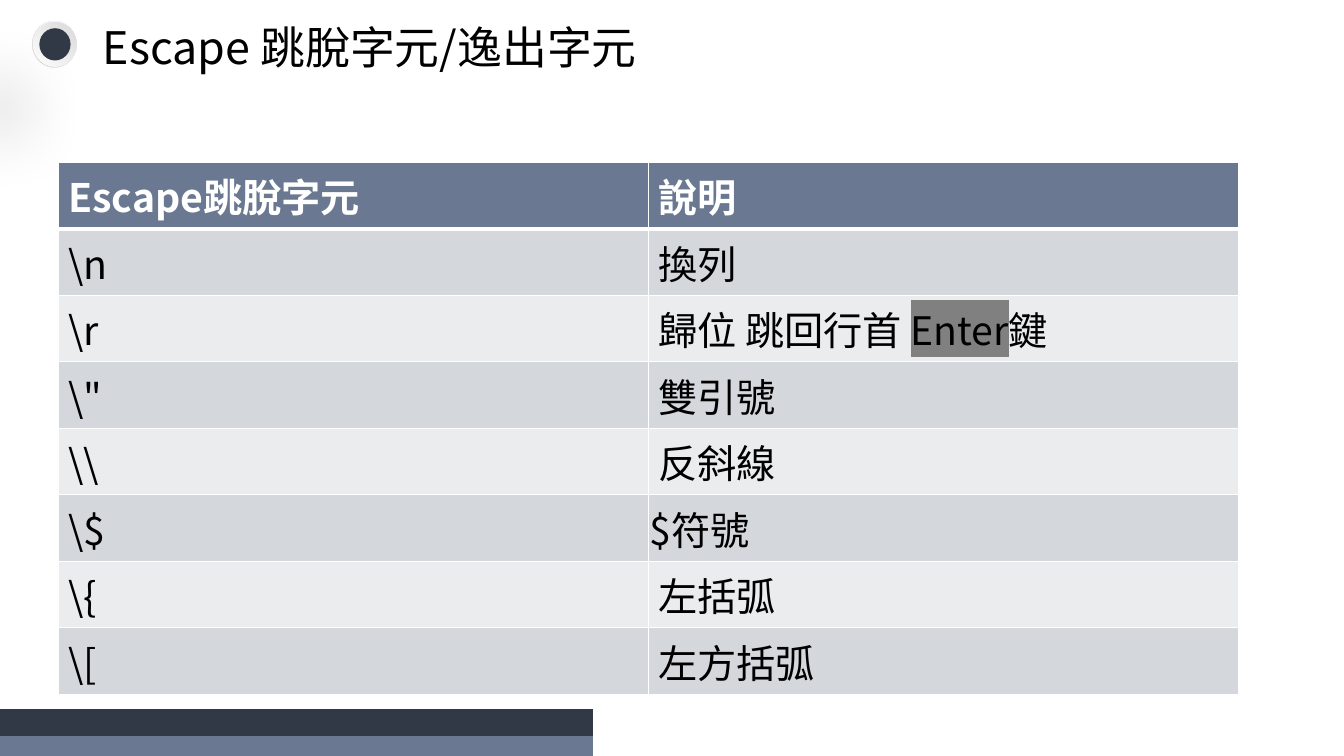
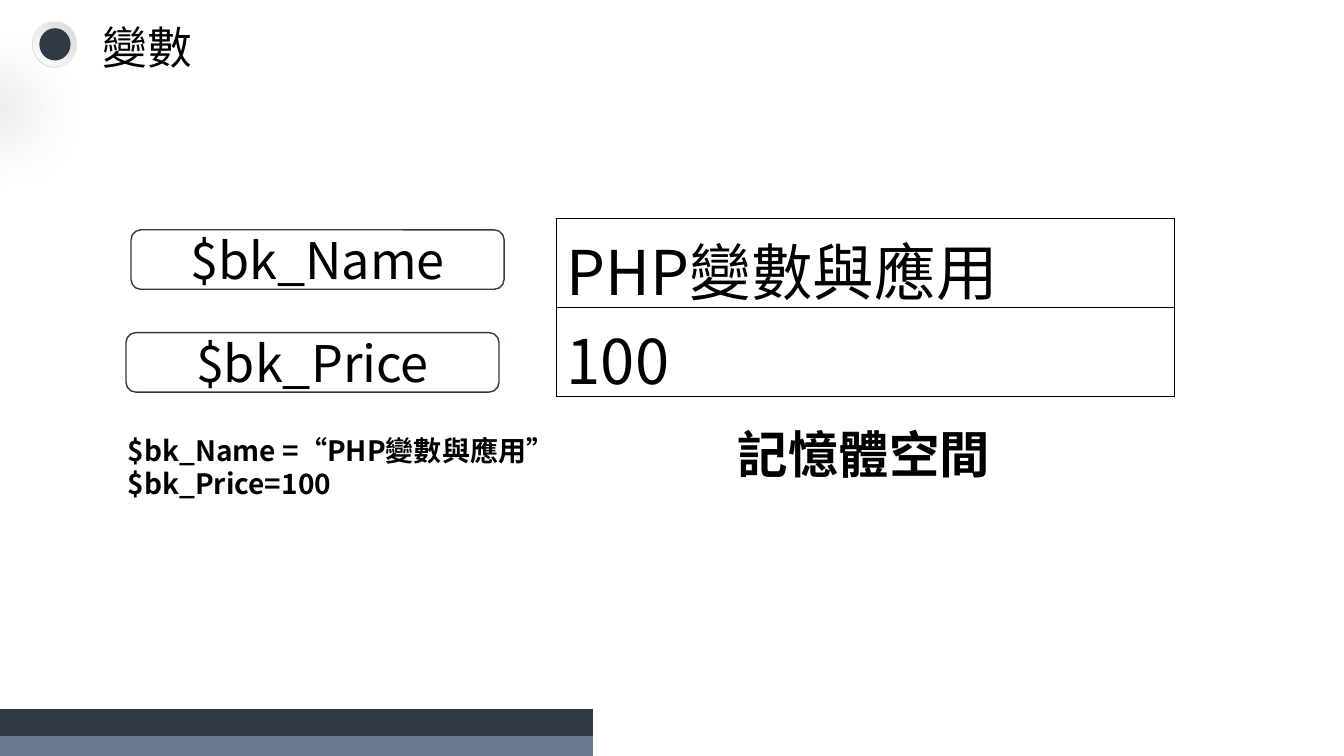
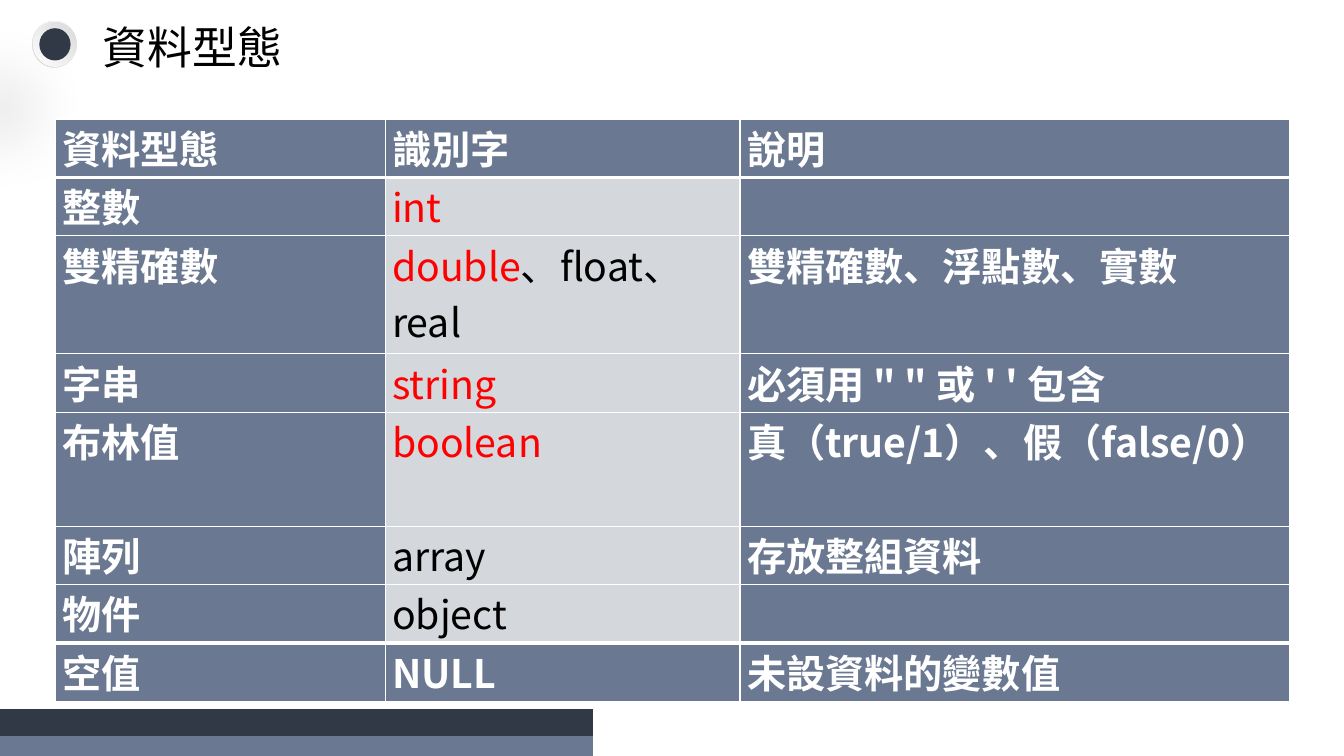
from pptx import Presentation
from pptx.dml.color import RGBColor
from pptx.enum.shapes import MSO_SHAPE
from pptx.enum.text import MSO_ANCHOR, PP_ALIGN
from pptx.oxml import parse_xml
from pptx.oxml.ns import nsdecls
from pptx.util import Inches, Pt

FONT = "Noto Sans CJK SC"
NAVY, SLATE = "313846", "6A7991"
BAND_DARK, BAND_LIGHT = "D4D7DC", "EBECEE"
BLACK, WHITE, RED, GREY = "000000", "FFFFFF", "FF0000", "808080"


def rgb(hex_color):
    return RGBColor.from_string(hex_color)


def xml(tag, attributes="", inner=""):
    return parse_xml(f"<a:{tag} {nsdecls('a')} {attributes}>{inner}</a:{tag}>")


# ---- Text and shapes ----

def style(paragraph, size, color=BLACK, bold=False):
    font = paragraph.font
    font.size, font.bold, font.name = Pt(size), bold, FONT
    font.color.rgb = rgb(color)
    font._element.append(xml("ea", f'typeface="{FONT}"'))


def add_text(slide, box, lines, size, bold=False, anchor=MSO_ANCHOR.TOP):
    frame = slide.shapes.add_textbox(*map(Inches, box)).text_frame
    frame.word_wrap = True
    frame.vertical_anchor = anchor
    frame.text = "\n".join(lines)
    for paragraph in frame.paragraphs:
        style(paragraph, size, bold=bold)
    return frame


def add_plain(slide, preset, box, fill, line=None):
    shape = slide.shapes.add_shape(preset, *map(Inches, box))
    shape.shadow.inherit = False
    shape.fill.solid()
    shape.fill.fore_color.rgb = rgb(fill)
    if line:
        shape.line.color.rgb = rgb(line)
        shape.line.width = Pt(1)
    else:
        shape.line.fill.background()
    return shape


def set_gradient(shape, stops, direction):
    stop_list = "".join(f'<a:gs pos="{position * 1000}"><a:srgbClr val="{color}"/></a:gs>'
                        for position, color in stops)
    properties = shape._element.spPr
    solid = properties.find("{*}solidFill")
    properties.replace(solid, xml("gradFill", 'rotWithShape="1"',
                                  f"<a:gsLst>{stop_list}</a:gsLst>{direction}"))


# ---- Parts on every slide ----

def add_bullet(slide, left, top):
    from_corner = '<a:path path="circle"><a:fillToRect l="100000" b="100000"/></a:path>'
    rim = add_plain(slide, MSO_SHAPE.OVAL, (left, top, 0.44, 0.46), WHITE)
    set_gradient(rim, [(0, WHITE), (100, "D9D9D9")], from_corner)
    effects = rim._element.spPr.find("{*}effectLst")
    effects.append(xml(
        "outerShdw", f'blurRad="{Pt(50)}" dist="{Pt(60)}" dir="{130 * 60000}" rotWithShape="0"',
        f'<a:srgbClr val="{BLACK}"><a:alpha val="25000"/></a:srgbClr>'))
    ring = add_plain(slide, MSO_SHAPE.OVAL, (left + 0.01, top + 0.01, 0.43, 0.44), WHITE)
    set_gradient(ring, [(0, "D9D9D9"), (100, "FEFEFE")], from_corner)
    add_plain(slide, MSO_SHAPE.OVAL, (left + 0.07, top + 0.07, 0.31, 0.32), NAVY)


def new_slide(deck, title):
    slide = deck.slides.add_slide(deck.slide_layouts[6])
    add_bullet(slide, 0.32, 0.21)
    footer = add_plain(slide, MSO_SHAPE.RECTANGLE, (0, 7.03, 5.88, 0.47), NAVY)
    set_gradient(footer, [(58, NAVY), (58, SLATE)], '<a:lin ang="5400000" scaled="0"/>')
    heading = add_text(slide, (0.92, 0.19, 11.7, 0.62), [title], 32, anchor=MSO_ANCHOR.MIDDLE)
    heading.paragraphs[0].line_spacing = 0.9
    return slide


# ---- Tables ----

def add_grid(slide, left, top, widths, heights, border, thick_rules=()):
    """Add a ruled table; thick_rules holds the rows that start below a 3 pt line."""
    table = slide.shapes.add_table(
        len(heights), len(widths), Inches(left), Inches(top),
        Inches(sum(widths)), Inches(sum(heights))).table
    table.first_row = table.horz_banding = False
    for column, width in zip(table.columns, widths):
        column.width = Inches(width)
    for index, (row, height) in enumerate(zip(table.rows, heights)):
        row.height = Inches(height)
        weights = {"lnL": 1, "lnR": 1,
                   "lnT": 3 if index in thick_rules else 1,
                   "lnB": 3 if index + 1 in thick_rules else 1}
        for cell in row.cells:
            properties = cell._tc.get_or_add_tcPr()
            for side, weight in weights.items():
                properties.append(xml(
                    side, f'w="{Pt(weight)}"',
                    f'<a:solidFill><a:srgbClr val="{border}"/></a:solidFill>'))
            cell.fill.background()
    return table


def fill_cell(cell, pieces, size, color=BLACK, bold=False, fill=None):
    """Write a string, or a list of (text, colour, highlight) runs."""
    if fill:
        cell.fill.solid()
        cell.fill.fore_color.rgb = rgb(fill)
    paragraph = cell.text_frame.paragraphs[0]
    style(paragraph, size, color, bold)
    if isinstance(pieces, str):
        pieces = [(pieces, None, None)]
    for text, run_color, highlight in pieces:
        run = paragraph.add_run()
        run.text = text
        if run_color:
            run.font.color.rgb = rgb(run_color)
        if highlight:
            run.font._element.append(
                xml("highlight", inner=f'<a:srgbClr val="{highlight}"/>'))


# ---- Slides ----

def escape_slide(deck):
    slide = new_slide(deck, "Escape 跳脫字元/逸出字元")
    rows = [
        ("Escape跳脫字元", "說明"),
        (r"\n", "換列"),
        (r"\r", [("歸位 跳回行首 ", None, None), ("Enter", None, GREY), ("鍵", None, None)]),
        (r"\"", "雙引號"),
        (r"\\", "反斜線"),
        (r"\$", "$符號"),
        (r"\{", "左括弧"),
        (r"\[", "左方括弧"),
    ]
    table = add_grid(slide, 0.58, 1.61, [5.85] * 2, [0.66] * len(rows), WHITE, thick_rules={1})
    for r, row in enumerate(rows):
        header = r == 0
        fill = SLATE if header else BAND_DARK if r % 2 else BAND_LIGHT
        for c, content in enumerate(row):
            fill_cell(table.cell(r, c), content, 28, WHITE if header else BLACK, header, fill)
    dollar = table.cell(5, 1)
    dollar.vertical_anchor = MSO_ANCHOR.MIDDLE
    dollar.margin_left = dollar.margin_right = Inches(0.01)
    dollar.margin_top = dollar.margin_bottom = Inches(0.01)


def add_variable(slide, left, top, name):
    label = add_plain(slide, MSO_SHAPE.ROUNDED_RECTANGLE, (left, top, 3.7, 0.59), WHITE, NAVY)
    label.text_frame.text = name
    label.text_frame.vertical_anchor = MSO_ANCHOR.MIDDLE
    paragraph = label.text_frame.paragraphs[0]
    paragraph.alignment = PP_ALIGN.CENTER
    style(paragraph, 36)


def variable_slide(deck):
    slide = new_slide(deck, "變數")
    memory = add_grid(slide, 5.52, 2.17, [6.13], [0.88] * 2, BLACK)
    for r, value in enumerate(["PHP變數與應用", "100"]):
        fill_cell(memory.cell(r, 0), value, 44)
    add_text(slide, (7.22, 4.15, 3.41, 0.71), ["記憶體空間"], 36, bold=True)
    add_variable(slide, 1.3, 2.28, "$bk_Name")
    add_variable(slide, 1.25, 3.3, "$bk_Price")
    add_text(slide, (1.17, 4.25, 7.1, 0.77),
             ["$bk_Name =“PHP變數與應用”", "$bk_Price=100"], 20, bold=True)


def type_slide(deck):
    slide = new_slide(deck, "資料型態")
    rows = [
        ("資料型態", "識別字", "說明"),
        ("整數", [("int", RED, None)], ""),
        ("雙精確數", [("double", RED, None), ("、float、real", None, None)],
         "雙精確數、浮點數、實數"),
        ("字串", [("string", RED, None)], "必須用 \" \" 或 ' ' 包含"),
        ("布林值", [("boolean", RED, None)], "真（true/1）、假（false/0）"),
        ("陣列", "array", "存放整組資料"),
        ("物件", "object", ""),
        ("空值", "NULL", "未設資料的變數值"),
    ]
    last = len(rows) - 1
    heights = [0.58, 0.58, 1.17, 0.58, 1.13, 0.58, 0.58, 0.58]
    table = add_grid(slide, 0.55, 1.18, [3.27, 3.52, 5.45], heights, WHITE, thick_rules={1, last})
    for r, row in enumerate(rows):
        for c, content in enumerate(row):
            cell = table.cell(r, c)
            cell.margin_left = cell.margin_right = Inches(0.07)
            cell.margin_top = cell.margin_bottom = 0
            if c == 1 and 0 < r < last:
                fill_cell(cell, content, 28, fill=BAND_DARK)
            else:
                fill_cell(cell, content, 28, WHITE, True, SLATE)


def main():
    deck = Presentation()
    deck.slide_width, deck.slide_height = Inches(13.33), Inches(7.5)
    escape_slide(deck)
    variable_slide(deck)
    type_slide(deck)
    deck.save("out.pptx")


if __name__ == "__main__":
    main()
